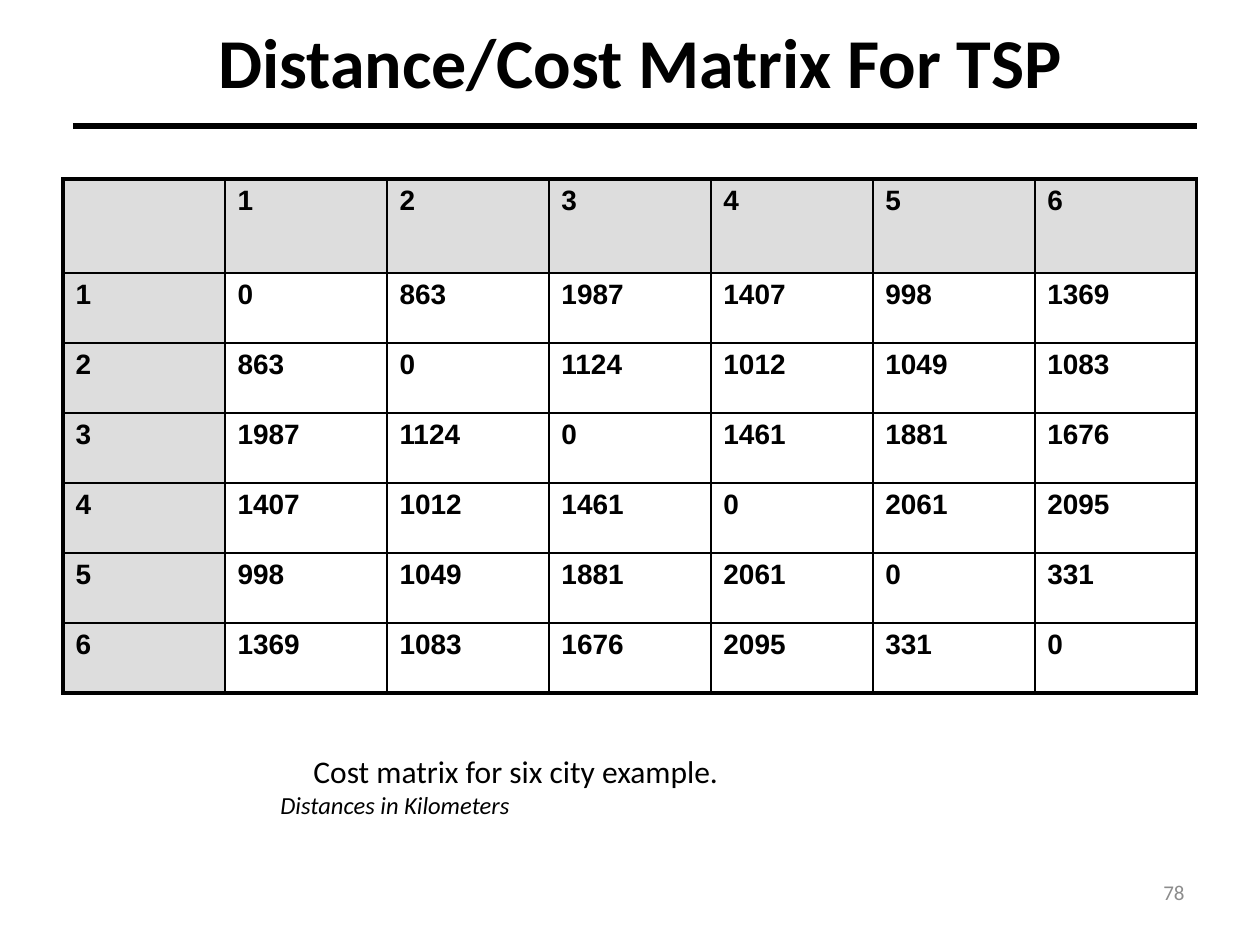
from lxml.etree import SubElement
from pptx import Presentation
from pptx.dml.color import RGBColor
from pptx.enum.shapes import MSO_CONNECTOR as Connector, MSO_SHAPE as Shape
from pptx.enum.text import MSO_ANCHOR as Anchor, PP_ALIGN as Align
from pptx.oxml import parse_xml
from pptx.oxml.ns import nsdecls, qn
from pptx.util import Emu, Pt

SCALE = 914400 // 126
COLORS = {"ink": "000000", "paper": "FFFFFF", "header": "DDDDDD", "number": "8C8C8C"}


def px(value):
    return Emu(round(value * 914400 / 126))


def color(name):
    return RGBColor.from_string(COLORS[name])


def write(paragraph, text, size=12, font="Calibri", ink="ink", bold=False,
          italic=False, align=Align.LEFT, indent=0):
    paragraph.alignment = align
    if indent:
        paragraph._p.get_or_add_pPr().set("indent", str(px(indent)))
    run = paragraph.add_run()
    run.text = text
    run.font.size = Pt(size)
    run.font.name = font
    run.font.bold = bold
    run.font.italic = italic
    run.font.color.rgb = color(ink)


class SlideBuilder:
    thin = 1
    thick = 2.25
    rule_width = 3

    def __init__(self, slide):
        self.slide = slide

    def text(self, box, text, **style):
        frame = self.slide.shapes.add_textbox(*map(px, box)).text_frame
        frame.word_wrap = True
        frame.vertical_anchor = Anchor.MIDDLE
        write(frame.paragraphs[0], text, **style)

    def panel(self, box, lines):
        shape = self.slide.shapes.add_shape(Shape.RECTANGLE, *map(px, box))
        shape.shadow.inherit = False
        shape.fill.solid()
        shape.fill.fore_color.rgb = color("paper")
        shape.line.fill.background()
        frame = shape.text_frame
        frame.word_wrap = True
        frame.vertical_anchor = Anchor.TOP
        for index, (text, style) in enumerate(lines):
            paragraph = frame.add_paragraph() if index else frame.paragraphs[0]
            write(paragraph, text, **style)

    def rule(self, left, right, top):
        line = self.slide.shapes.add_connector(
            Connector.STRAIGHT, px(left), px(top), px(right), px(top))
        line.line.color.rgb = color("ink")
        line.line.width = Pt(self.rule_width)
        SubElement(line._element.spPr, qn("a:effectLst"))

    def borders(self, cell, outer_edges):
        properties = cell._tc.get_or_add_tcPr()
        for index, (side, outer) in enumerate(zip("LRTB", outer_edges)):
            width = Pt(self.thick if outer else self.thin)
            properties.insert(index, parse_xml(
                f'<a:ln{side} {nsdecls("a")} w="{width}"><a:solidFill>'
                f'<a:srgbClr val="{COLORS["ink"]}"/></a:solidFill></a:ln{side}>'))

    def matrix(self, box, rows, header_height, row_height):
        row_count, column_count = len(rows), len(rows[0])
        table = self.slide.shapes.add_table(row_count, column_count, *map(px, box)).table
        table.first_row = table.horz_banding = False
        for column in table.columns:
            column.width = px(box[2] / column_count)
        for row_index, values in enumerate(rows):
            table.rows[row_index].height = px(row_height if row_index else header_height)
            for column_index, value in enumerate(values):
                cell = table.cell(row_index, column_index)
                cell.fill.solid()
                is_header = row_index == 0 or column_index == 0
                cell.fill.fore_color.rgb = color("header" if is_header else "paper")
                self.borders(cell, (column_index == 0, column_index == column_count - 1,
                                    row_index == 0, row_index == row_count - 1))
                if value != "":
                    write(cell.text_frame.paragraphs[0], str(value),
                          size=16, font="Arial", bold=True)


DISTANCES = [
    [0, 863, 1987, 1407, 998, 1369],
    [863, 0, 1124, 1012, 1049, 1083],
    [1987, 1124, 0, 1461, 1881, 1676],
    [1407, 1012, 1461, 0, 2061, 2095],
    [998, 1049, 1881, 2061, 0, 331],
    [1369, 1083, 1676, 2095, 331, 0],
]
cities = list(range(1, len(DISTANCES) + 1))
matrix_rows = [["", *cities]] + [[city, *row] for city, row in zip(cities, DISTANCES)]

presentation = Presentation()
presentation.slide_width = px(1260)
presentation.slide_height = px(945)
builder = SlideBuilder(presentation.slides.add_slide(presentation.slide_layouts[6]))

builder.text((903, 861, 294, 63), "78", ink="number", align=Align.RIGHT)
builder.text((73, 0, 1134, 120), "Distance/Cost Matrix For TSP",
             size=40, bold=True, align=Align.CENTER)
builder.panel((268, 746, 709, 103), [
    ("Cost matrix for six city example.", {"size": 18, "indent": 33}),
    ("Distances in Kilometers", {"size": 14, "italic": True}),
])
builder.matrix((63, 179, 1134, 514), matrix_rows, header_height=94, row_height=70)
builder.rule(73, 1197, 126)

presentation.save("out.pptx")
